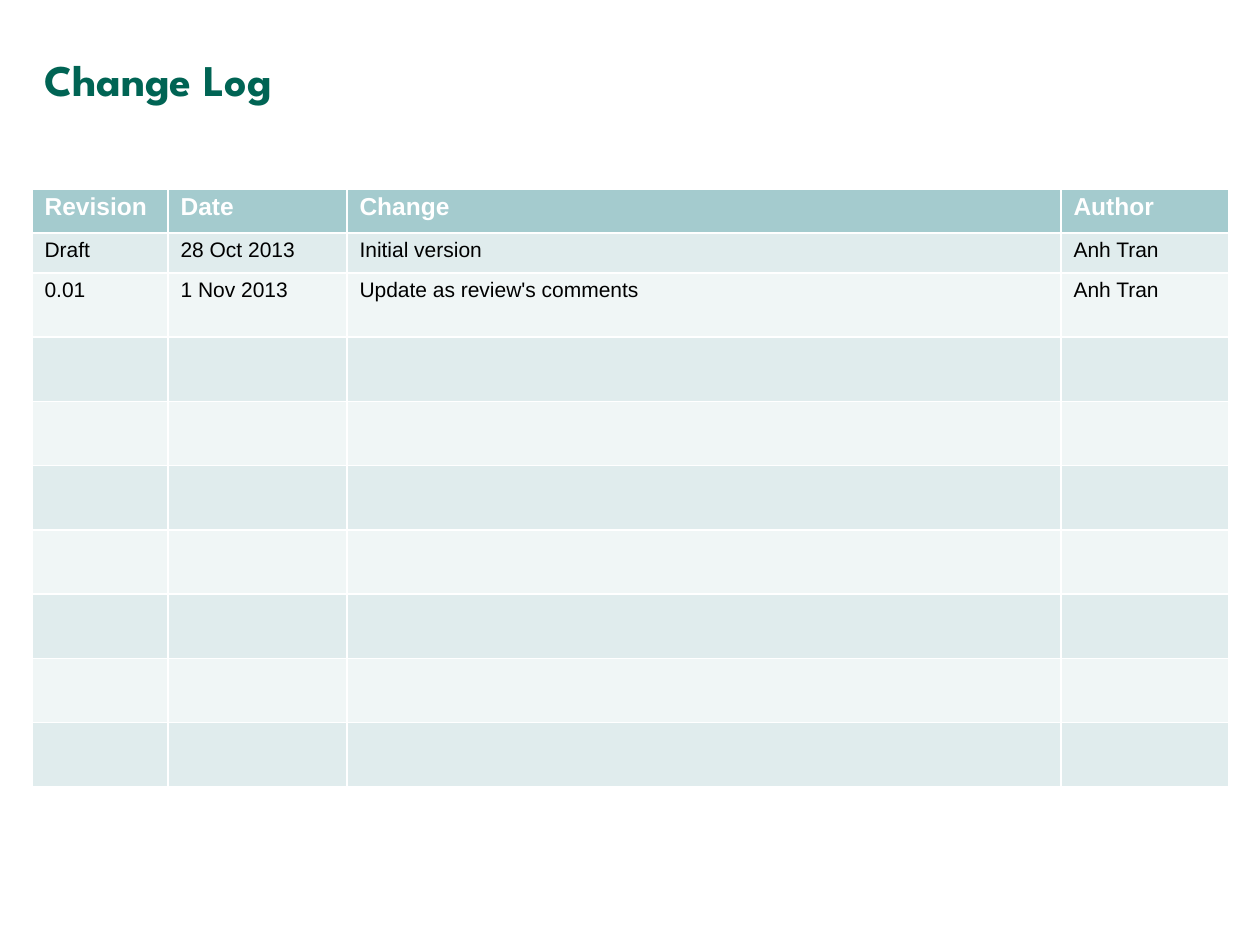
from pptx import Presentation
from pptx.dml.color import RGBColor
from pptx.enum.text import MSO_ANCHOR
from pptx.util import Pt

MIDDLE = MSO_ANCHOR.MIDDLE
EMU_PER_PX = 914400 // 126
BLANK_LAYOUT = 6

HEADINGS = ["Revision", "Date", "Change", "Author"]
REVISIONS = [
    ["Draft", "28 Oct 2013", "Initial version", "Anh Tran"],
    ["0.01", "1 Nov 2013", "Update as review's comments", "Anh Tran"],
]
COLUMN_WIDTHS = [136, 179, 714, 168]
HEADING_HEIGHT = 44
FIRST_HEIGHT = 40
ROW_COUNT = 10
HEADING_FILL = "A4CBCE"
BAND_FILLS = ["E0ECED", "F0F6F6"]


def px(length):
    return length * EMU_PER_PX


def paint(target, color):
    target.rgb = RGBColor.from_string(color)


def add_span(para, text, size, font, color, bold):
    span = para.add_run()
    span.text = text
    span.font.size = Pt(size)
    span.font.name = font
    span.font.bold = bold
    paint(span.font.color, color)


def add_title(page, left, top, width, height):
    box = page.shapes.add_textbox(px(left), px(top), px(width), px(height))
    box.text_frame.word_wrap = True
    box.text_frame.vertical_anchor = MIDDLE
    add_span(box.text_frame.paragraphs[0], "Change Log", 25, "League Spartan", "006454", True)


def fill_row(row, texts, fill, size, color, bold, spacing):
    for cell in row.cells:
        cell.fill.solid()
        paint(cell.fill.fore_color, fill)
    for cell, text in zip(row.cells, texts):
        para = cell.text_frame.paragraphs[0]
        para.line_spacing = spacing
        add_span(para, text, size, "Arial", color, bold)


def add_change_table(page, left, top, width, height):
    frame = page.shapes.add_table(
        ROW_COUNT, len(HEADINGS), px(left), px(top), px(width), px(height))
    table = frame.table
    for column, column_width in zip(table.columns, COLUMN_WIDTHS):
        column.width = px(column_width)

    heading, *rows = table.rows
    other_height = px(height - HEADING_HEIGHT - FIRST_HEIGHT) // (len(rows) - 1)
    heading.height = px(HEADING_HEIGHT)
    fill_row(heading, HEADINGS, HEADING_FILL, 14, "FFFFFF", True, 0.93)
    for index, row in enumerate(rows):
        row.height = other_height if index else px(FIRST_HEIGHT)
        texts = REVISIONS[index] if index < len(REVISIONS) else []
        fill_row(row, texts, BAND_FILLS[index % 2], 12, "000000", False, 0.95)


def main():
    deck = Presentation()
    deck.slide_width = px(1260)
    deck.slide_height = px(945)
    page = deck.slides.add_slide(deck.slide_layouts[BLANK_LAYOUT])
    add_title(page, 32, 0, 1197, 158)
    add_change_table(page, 32, 189, 1197, 598)
    deck.save("out.pptx")


if __name__ == "__main__":
    main()
